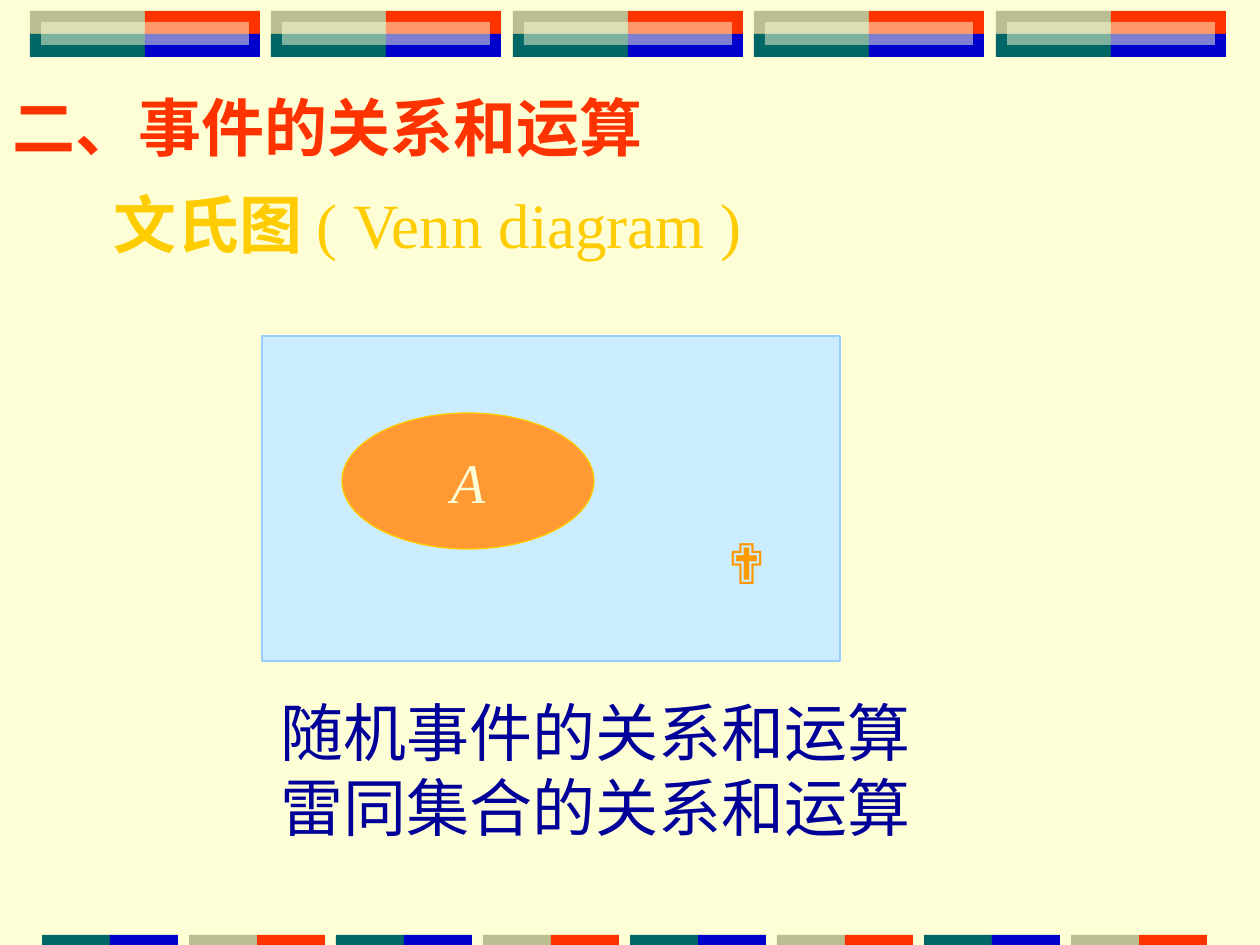
from lxml import etree
from pptx import Presentation
from pptx.dml.color import RGBColor
from pptx.enum.shapes import MSO_SHAPE
from pptx.enum.text import MSO_ANCHOR, PP_ALIGN
from pptx.oxml.ns import qn
from pptx.util import Emu, Pt

RECTANGLE, OVAL = MSO_SHAPE.RECTANGLE, MSO_SHAPE.OVAL
MIDDLE = MSO_ANCHOR.MIDDLE
LEFT, CENTER = PP_ALIGN.LEFT, PP_ALIGN.CENTER
EMU_PER_PX = 914400 / 126
SERIF = "Times New Roman"
CREAM, RED, BLUE, TEAL, KHAKI = "FEFED6", "FF3300", "0000CC", "006666", "BABE90"
GOLD, NAVY = "FFCC00", "000099"


def px(value):
    """Convert pixels to EMU."""
    return Emu(round(value * EMU_PER_PX))


def color(hex_string):
    """Return the colour for a hex string."""
    return RGBColor.from_string(hex_string)


def add_block(slide, box, fill, line=None, kind=RECTANGLE, alpha=None):
    """Add a filled preset shape with an optional outline and opacity in percent."""
    shape = slide.shapes.add_shape(kind, *map(px, box))
    shape.shadow.inherit = False
    shape.fill.solid()
    shape.fill.fore_color.rgb = color(fill)
    if alpha is not None:
        fill_color = shape._element.spPr.find(qn("a:solidFill"))[0]
        etree.SubElement(fill_color, qn("a:alpha"), val=str(alpha * 1000))
    if line:
        shape.line.color.rgb = color(line)
        shape.line.width = Pt(0.75)
    else:
        shape.line.fill.background()
    return shape


def format_run(run, size, fill, font=SERIF, bold=False, italic=False):
    """Set the font of one run."""
    run.font.name = font
    run.font.size = Pt(size)
    run.font.color.rgb = color(fill)
    run.font.bold = bold
    run.font.italic = italic


def add_text(slide, box, text, size, fill, font=SERIF):
    """Add an unwrapped text box and return its text frame."""
    text_frame = slide.shapes.add_textbox(*map(px, box)).text_frame
    text_frame.word_wrap = False
    text_frame.text = text
    for paragraph in text_frame.paragraphs:
        format_run(paragraph.runs[0], size, fill, font)
    return text_frame


def add_top_band(slide):
    """Add the row of four-coloured tiles with a translucent centre."""
    top, width, height = 11, 115, 23
    for index in range(5):
        left = 30 + index * 483 // 2
        for position, fill in enumerate((KHAKI, RED, TEAL, BLUE)):
            row, column = divmod(position, 2)
            box = (left + column * width, top + row * height, width, height)
            add_block(slide, box, fill)
        add_block(slide, (left + 11, 22, 208, height), CREAM, alpha=50)


def add_bottom_band(slide):
    """Add the row of alternating two-coloured strips."""
    width = 68
    for index in range(8):
        pair = (KHAKI, RED) if index % 2 else (TEAL, BLUE)
        for column, fill in enumerate(pair):
            add_block(slide, (42 + index * 147 + column * width, 935, width, 10), fill)


def add_title(slide, box, text):
    """Place and format the title placeholder."""
    title = slide.shapes.title
    title.left, title.top, title.width, title.height = map(px, box)
    title.text_frame.text = text
    title.text_frame.vertical_anchor = MIDDLE
    paragraph = title.text_frame.paragraphs[0]
    paragraph.alignment = LEFT
    format_run(paragraph.runs[0], 36, RED, bold=True)


def add_venn_diagram(slide):
    """Add the sample space, the event A and the sample point."""
    add_block(slide, (262, 336, 578, 325), "CCECFF", "99CCFF")
    event = add_block(slide, (342, 413, 252, 136), "FF9933", GOLD, OVAL)
    text_frame = event.text_frame
    text_frame.word_wrap = False
    text_frame.text = "A"
    text_frame.vertical_anchor = MIDDLE
    paragraph = text_frame.paragraphs[0]
    paragraph.alignment = CENTER
    format_run(paragraph.runs[0], 32, CREAM, italic=True)
    add_text(slide, (711, 522, 73, 81), "✟", 32, "FF9900", "Roboto")


def main():
    """Build the slide and save it."""
    presentation = Presentation()
    presentation.slide_width, presentation.slide_height = px(1260), px(945)
    slide = presentation.slides.add_slide(presentation.slide_layouts[5])
    slide.background.fill.solid()
    slide.background.fill.fore_color.rgb = color(CREAM)
    add_top_band(slide)
    add_bottom_band(slide)
    add_venn_diagram(slide)
    add_text(slide, (268, 687, 655, 164),
             "随机事件的关系和运算\n雷同集合的关系和运算", 36, NAVY)
    subtitle = add_text(slide, (101, 179, 725, 88), "文氏图 ", 36, GOLD).paragraphs[0]
    subtitle.runs[0].font.bold = True
    english = subtitle.add_run()
    english.text = "( Venn diagram )"
    format_run(english, 36, GOLD)
    add_title(slide, (0, 84, 735, 84), "二、事件的关系和运算")
    presentation.save("out.pptx")


if __name__ == "__main__":
    main()
